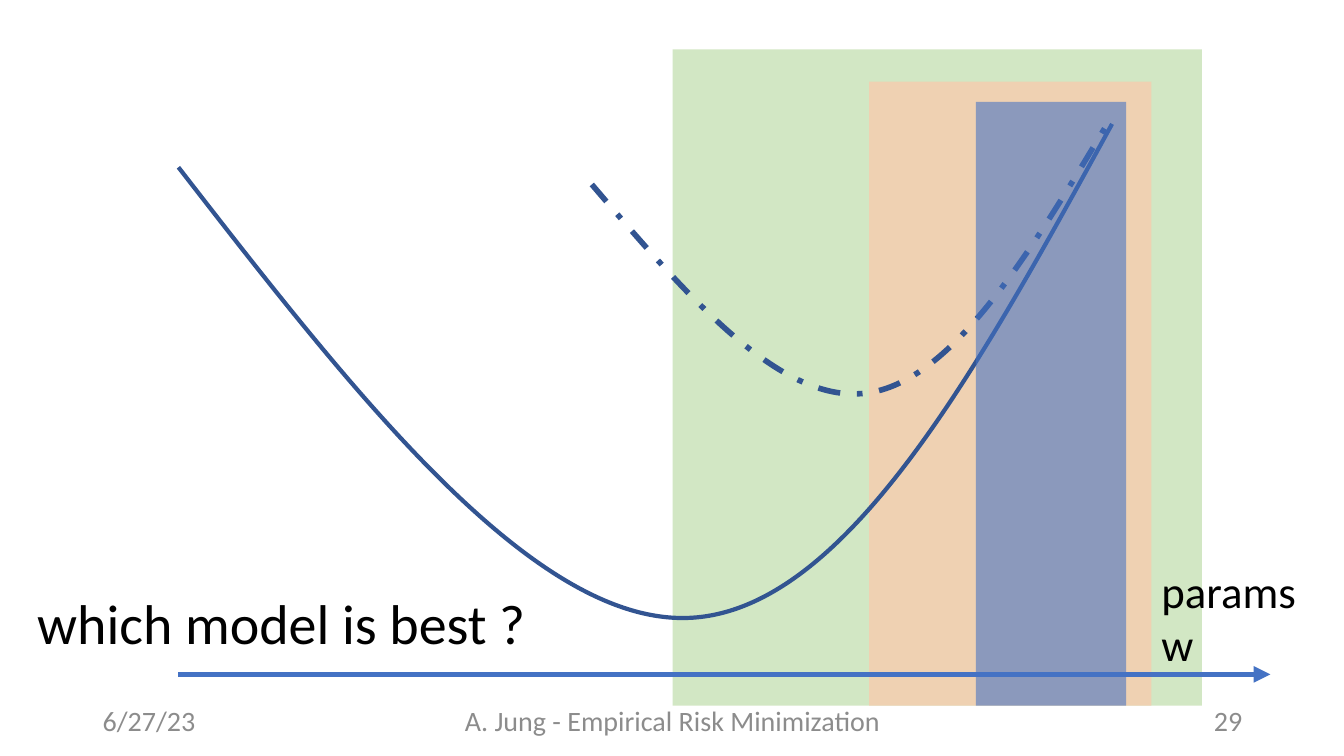
from dataclasses import dataclass

from lxml import etree
from pptx import Presentation
from pptx.dml.color import RGBColor
from pptx.enum.dml import MSO_LINE
from pptx.enum.shapes import MSO_CONNECTOR, MSO_SHAPE
from pptx.enum.text import MSO_ANCHOR, MSO_AUTO_SIZE, PP_ALIGN
from pptx.oxml.ns import qn
from pptx.util import Inches, Pt


@dataclass(frozen=True)
class Theme:
    font: str = "Calibri"
    black: str = "000000"
    grey: str = "8C8C8C"
    axis: str = "4472C4"
    curve: str = "325491"
    question: int = 40
    label: int = 32
    footer: int = 20


T = Theme()
WIDTH, HEIGHT = 13.33, 7.5
MODEL_BOTTOM = 7.0
FOOTER_TOP, FOOTER_HEIGHT = 6.95, 0.4

# left, top, width, colour, opacity in percent
LARGE_MODEL = (6.67, 0.49, 5.25, "A9D18E", 52)
MEDIUM_MODEL = (8.62, 0.81, 2.8, "F8CBAD", 77)
SMALL_MODEL = (9.68, 1.01, 1.49, T.axis, 58)

AXIS = ((1.77, 6.69), (12.6, 6.69))

# start point, then two control points and an end point per segment
SOLID_LOSS = [(1.77, 1.66), (3.53, 3.93), (5.3, 6.2), (6.84, 6.13),
              (8.39, 6.06), (9.71, 3.64), (11.03, 1.23)]
DASHED_LOSS = [(5.87, 1.83), (6.8, 2.92), (7.73, 4.01), (8.59, 3.9),
               (9.46, 3.79), (10.24, 2.47), (11.03, 1.15)]

PARAMS = ("params w", (11.42, 5.54, 1.9, 1.18))
QUESTION = ("which model is best ?", (0.27, 5.79, 5.09, 0.77))

# text, left, width, alignment
FOOTERS = [
    ("A. Jung - Empirical Risk Minimization", 4.42, 4.5, PP_ALIGN.CENTER),
    ("29", 9.42, 3, PP_ALIGN.RIGHT),
    ("6/27/23", 0.92, 3, PP_ALIGN.LEFT),
]


def rgb(colour):
    return RGBColor.from_string(colour)


def add_model(s, left, top, width, colour, opacity):
    sp = s.shapes.add_shape(MSO_SHAPE.RECTANGLE, Inches(left), Inches(top),
                            Inches(width), Inches(MODEL_BOTTOM - top))
    sp.shadow.inherit = False
    sp.line.fill.background()
    sp.fill.solid()
    sp.fill.fore_color.rgb = rgb(colour)
    clr = sp.fill._xPr.find(qn("a:solidFill"))[0]
    etree.SubElement(clr, qn("a:alpha"), val=str(opacity * 1000))


def add_text(s, text, box, size, colour=T.black, align=PP_ALIGN.LEFT,
             anchor=MSO_ANCHOR.TOP, wrap=True,
             fit=MSO_AUTO_SIZE.SHAPE_TO_FIT_TEXT):
    tf = s.shapes.add_textbox(*map(Inches, box)).text_frame
    tf.word_wrap = wrap
    tf.auto_size = fit
    tf.vertical_anchor = anchor
    p = tf.paragraphs[0]
    p.text = text
    p.alignment = align
    p.font.name = T.font
    p.font.size = Pt(size)
    p.font.color.rgb = rgb(colour)


def add_axis(s, start, end):
    line = s.shapes.add_connector(MSO_CONNECTOR.STRAIGHT,
                                  *map(Inches, start + end))
    line.line.color.rgb = rgb(T.axis)
    line.line.width = Pt(4)
    etree.SubElement(line.line._get_or_add_ln(), qn("a:tailEnd"),
                     type="triangle")
    etree.SubElement(line._element.spPr, qn("a:effectLst"))


def add_curve(s, knots, width, dash=None):
    """Outline the on-curve knots, then bend each straight piece to a cubic."""
    points = [tuple(map(Inches, knot)) for knot in knots]
    builder = s.shapes.build_freeform(*points[0])
    builder.add_line_segments(points[3::3], close=False)
    sp = builder.convert_to_shape()
    pieces = list(sp._element.iter(qn("a:lnTo")))
    for i, piece in enumerate(pieces):
        piece.tag = qn("a:cubicBezTo")
        piece.clear()
        for x, y in points[3 * i + 1:3 * i + 4]:
            etree.SubElement(piece, qn("a:pt"), x=str(x - sp.left),
                             y=str(y - sp.top))
    sp.shadow.inherit = False
    sp.fill.background()
    sp.line.color.rgb = rgb(T.curve)
    sp.line.width = Pt(width)
    if dash:
        sp.line.dash_style = dash


def main():
    prs = Presentation()
    prs.slide_width, prs.slide_height = Inches(WIDTH), Inches(HEIGHT)
    s = prs.slides.add_slide(prs.slide_layouts[6])

    add_model(s, *LARGE_MODEL)
    add_model(s, *MEDIUM_MODEL)
    add_text(s, *PARAMS, T.label)
    add_axis(s, *AXIS)
    add_curve(s, SOLID_LOSS, 3)
    add_curve(s, DASHED_LOSS, 4, MSO_LINE.DASH_DOT)
    add_model(s, *SMALL_MODEL)
    add_text(s, *QUESTION, T.question, wrap=False)
    for text, left, width, align in FOOTERS:
        add_text(s, text, (left, FOOTER_TOP, width, FOOTER_HEIGHT), T.footer,
                 T.grey, align, MSO_ANCHOR.MIDDLE, fit=MSO_AUTO_SIZE.NONE)

    prs.save("out.pptx")


if __name__ == "__main__":
    main()
